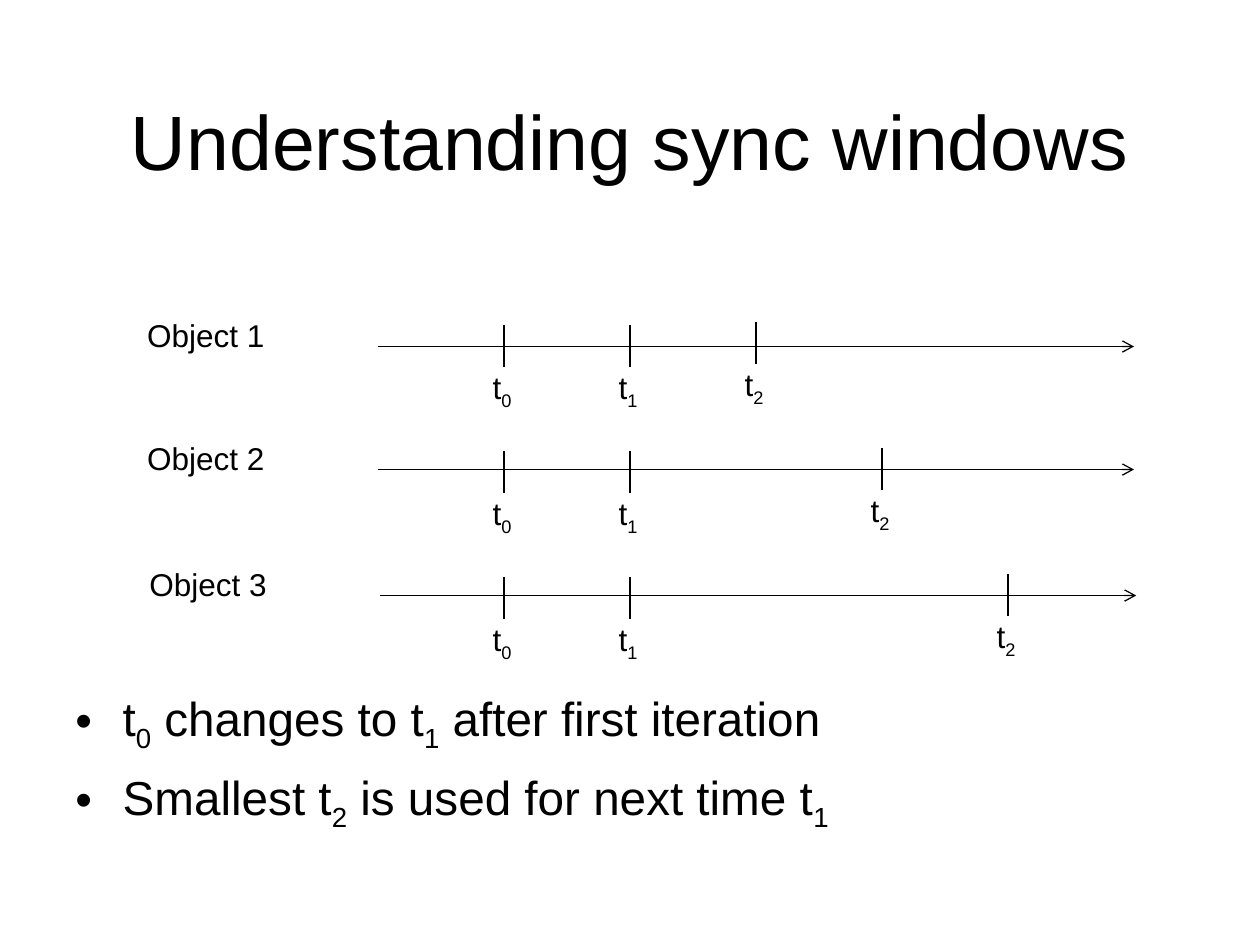
from lxml.etree import SubElement
from pptx import Presentation
from pptx.dml.color import RGBColor
from pptx.enum.shapes import MSO_CONNECTOR as Connector
from pptx.enum.text import MSO_ANCHOR as Anchor, MSO_AUTO_SIZE as AutoSize, PP_ALIGN as Align
from pptx.oxml.ns import qn
from pptx.util import Pt

BLACK = RGBColor(0, 0, 0)
WHITE = RGBColor(255, 255, 255)
TICK_HEIGHT = 24


def write_text(paragraph, text, size=18, font="Arial", color=BLACK, align=Align.LEFT,
               space_before=0, bullet=None, indent=0):
    properties = paragraph._p.get_or_add_pPr()
    paragraph.alignment = align
    paragraph.space_before = Pt(space_before)
    if bullet:
        properties.set("marL", str(Pt(indent)))
        properties.set("indent", str(-Pt(indent)))
        SubElement(properties, qn("a:buFont"), typeface=font)
        SubElement(properties, qn("a:buChar"), char=bullet)
    for index, part in enumerate(text.split("|")):
        if not part:
            continue
        run = paragraph.add_run()
        run.text = part
        run.font.size = Pt(size)
        run.font.name = font
        run.font.color.rgb = color
        if index % 2:
            run._r.get_or_add_rPr().set("baseline", "-25000")


class SlideBuilder:
    def __init__(self, slide, line_color=BLACK, line_width=0.75):
        self.slide = slide
        self.line_color = line_color
        self.line_width = line_width
        slide.background.fill.solid()
        slide.background.fill.fore_color.rgb = WHITE

    def text_box(self, left, top, width, height, lines, wrap=True, anchor=Anchor.TOP,
                 gap=0, **style):
        shape = self.slide.shapes.add_textbox(Pt(left), Pt(top), Pt(width), Pt(height))
        frame = shape.text_frame
        frame.word_wrap = wrap
        frame.auto_size = AutoSize.NONE if wrap else AutoSize.SHAPE_TO_FIT_TEXT
        frame.vertical_anchor = anchor
        for index, line in enumerate(lines):
            paragraph = frame.add_paragraph() if index else frame.paragraphs[0]
            write_text(paragraph, line, space_before=gap if index else 0, **style)

    def line(self, x1, y1, x2, y2, arrow=False):
        connector = self.slide.shapes.add_connector(
            Connector.STRAIGHT, Pt(x1), Pt(y1), Pt(x2), Pt(y2))
        connector.line.color.rgb = self.line_color
        connector.line.width = Pt(self.line_width)
        if arrow:
            SubElement(connector.line._get_or_add_ln(), qn("a:tailEnd"), type="arrow")
        SubElement(connector._element.spPr, qn("a:effectLst"))

    def timeline(self, name, left, y):
        self.line(left, y, left + 432, y, arrow=True)
        self.text_box(left - 139, y - 21, 81.5, 29, [name], wrap=False)

    def tick(self, label, x, top):
        self.line(x, top, x, top + TICK_HEIGHT)
        self.text_box(x - 13.7, top + 21, 25.2, 31.7, [label], wrap=False, align=Align.CENTER)


def main():
    presentation = Presentation()
    presentation.slide_width, presentation.slide_height = Pt(720), Pt(540)
    builder = SlideBuilder(presentation.slides.add_slide(presentation.slide_layouts[6]))

    builder.text_box(36, 48, 648, 63.5, ["Understanding sync windows"],
                     anchor=Anchor.MIDDLE, size=44, align=Align.CENTER)
    builder.text_box(36, 390, 648, 92,
                     ["t|0| changes to t|1| after first iteration",
                      "Smallest t|2| is used for next time t|1|"],
                     size=27.2, gap=8, bullet="•", indent=27)

    timelines = [("Object 1", 216, 198), ("Object 2", 216, 268.3), ("Object 3", 217.3, 340.3)]
    for row, (name, left, y) in enumerate(timelines):
        builder.timeline(name, left, y)
        tick_top = 186 + 72 * row
        builder.tick("t|0|", 288, tick_top)
        builder.tick("t|1|", 360, tick_top)
        builder.tick("t|2|", 432 + 72 * row, tick_top - 1.8)

    presentation.save("out.pptx")


if __name__ == "__main__":
    main()
